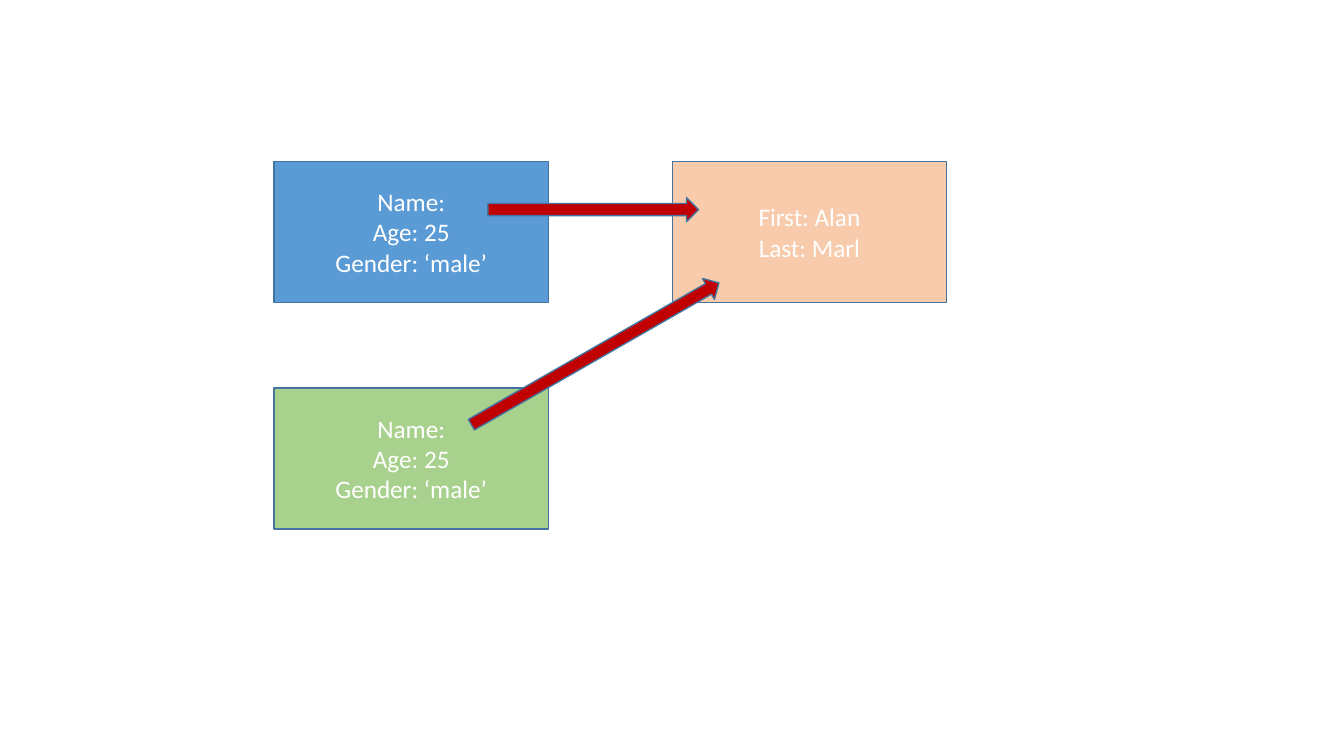
"""Two person records that share one name record."""
from dataclasses import dataclass

from pptx import Presentation
from pptx import util as u
from pptx.dml.color import RGBColor
from pptx.enum import shapes, text

BOX_WIDTH, BOX_HEIGHT = 195.84, 100.8
LEFT_COLUMN, RIGHT_COLUMN = 195.84, 480.24
TOP_ROW, BOTTOM_ROW = 115.2, 277.2
ARROW_HEIGHT = 17.28
OUTLINE, ARROW_FILL, TEXT_COLOUR = "43739E", "C00000", "FFFFFF"
PERSON = "Name:\nAge: 25\nGender: ‘male’"
NAME = "First: Alan\nLast: Marl"


@dataclass
class Record:
    """A box listing the fields of one object."""
    left: float
    top: float
    fill: str
    fields: str


@dataclass
class Reference:
    """A block arrow from a person to the name."""
    left: float
    top: float
    width: float
    rotation: float = 0


RECORDS = [
    Record(LEFT_COLUMN, TOP_ROW, "5B9BD5", PERSON),
    Record(RIGHT_COLUMN, TOP_ROW, "F8CBAD", NAME),
    Record(LEFT_COLUMN, BOTTOM_ROW, "A9D18E", PERSON),
]
REFERENCES = [
    Reference(348.48, 141.12, 150.48),
    Reference(323.28, 244.08, 203.76, 330.2),
]


def paint(colour_format, colour: str) -> None:
    """Apply a hex colour to a fill's or font's colour."""
    colour_format.rgb = RGBColor.from_string(colour)


def add_block(page, kind, left: float, top: float, width: float,
              height: float, fill: str):
    """Add a filled, outlined shape without a shadow."""
    block = page.shapes.add_shape(
        kind, u.Pt(left), u.Pt(top), u.Pt(width), u.Pt(height))
    block.shadow.inherit = False
    block.fill.solid()
    paint(block.fill.fore_color, fill)
    paint(block.line.color, OUTLINE)
    block.line.width = u.Pt(1)
    return block


def draw_record(page, record: Record) -> None:
    """Draw a record box with its centred fields."""
    box = add_block(page, shapes.MSO_SHAPE.RECTANGLE, record.left, record.top,
                    BOX_WIDTH, BOX_HEIGHT, record.fill)
    frame = box.text_frame
    frame.text = record.fields
    frame.word_wrap = True
    frame.vertical_anchor = text.MSO_ANCHOR.MIDDLE
    for para in frame.paragraphs:
        para.alignment = text.PP_ALIGN.CENTER
        for span in para.runs:
            span.font.name = "Calibri"
            span.font.size = u.Pt(18)
            paint(span.font.color, TEXT_COLOUR)


def draw_reference(page, reference: Reference) -> None:
    """Draw a reference arrow at its angle."""
    arrow = add_block(page, shapes.MSO_SHAPE.RIGHT_ARROW, reference.left,
                      reference.top, reference.width, ARROW_HEIGHT, ARROW_FILL)
    arrow.rotation = reference.rotation


deck = Presentation()
deck.slide_width, deck.slide_height = u.Pt(960), u.Pt(540)
page = deck.slides.add_slide(deck.slide_layouts.get_by_name("Blank"))
for record in RECORDS:
    draw_record(page, record)
for reference in REFERENCES:
    draw_reference(page, reference)
deck.save("out.pptx")
